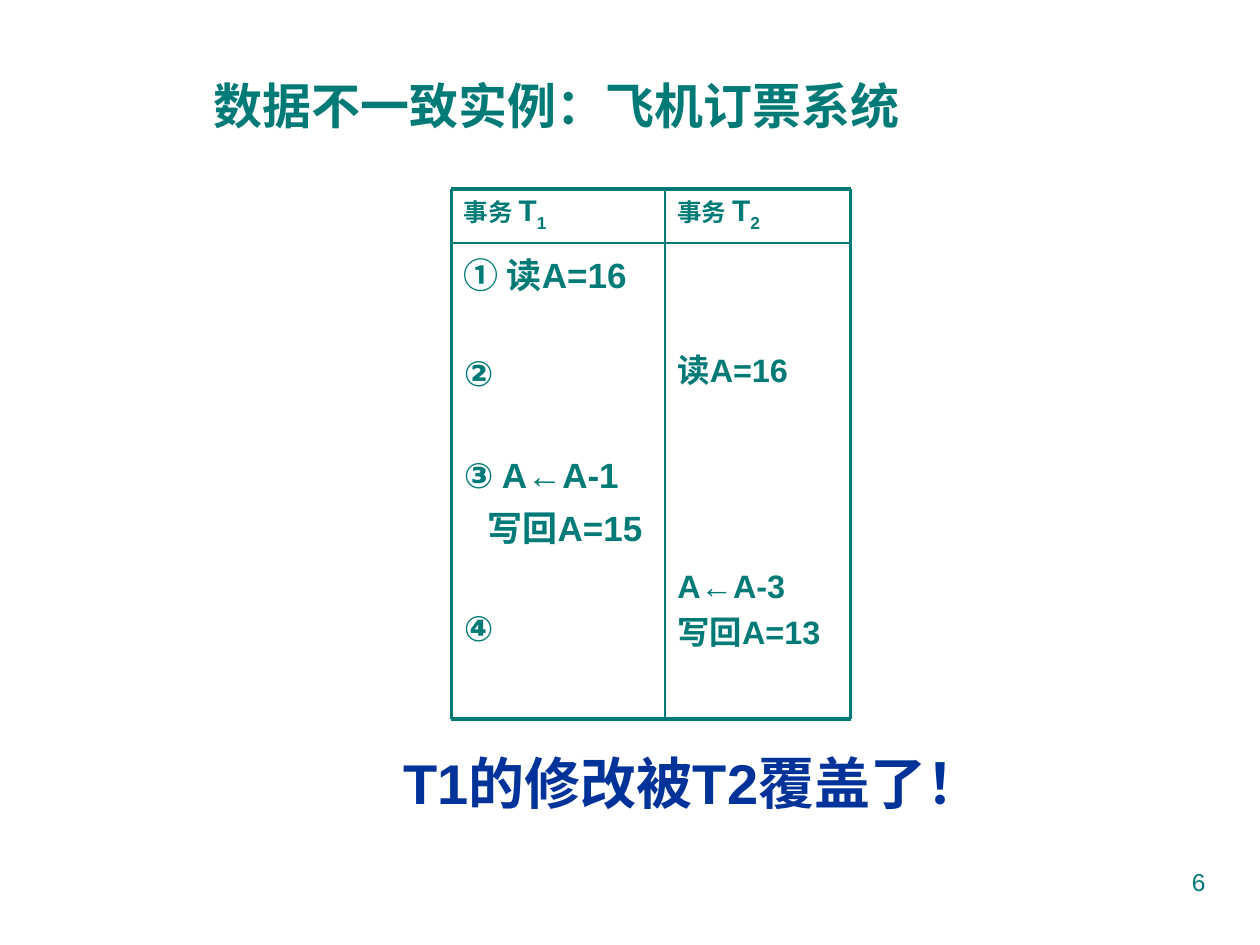
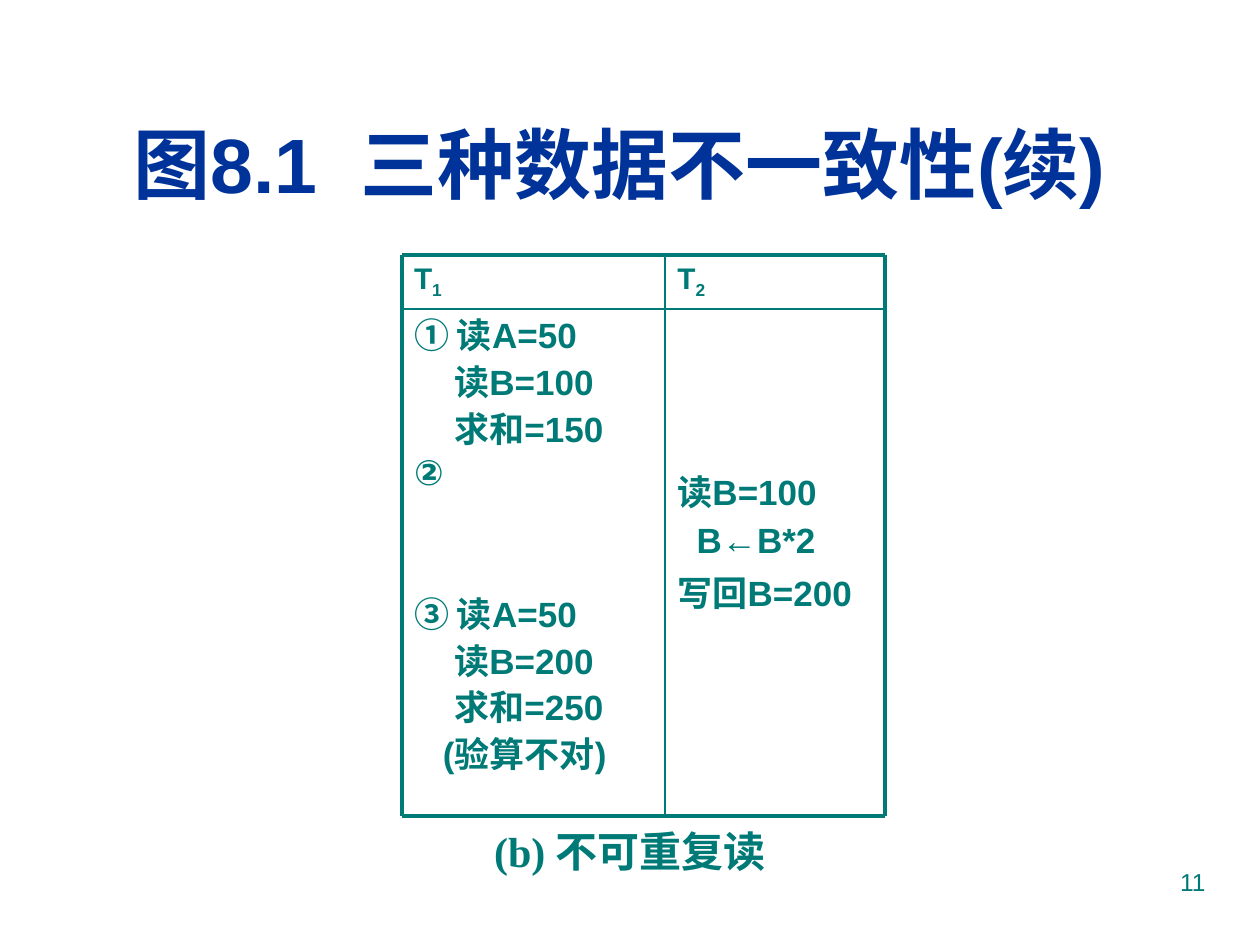
from dataclasses import dataclass

from lxml.etree import SubElement
from pptx import Presentation
from pptx.dml.color import RGBColor as RGB
from pptx.enum.shapes import MSO_CONNECTOR as CONNECTOR
from pptx.enum.text import MSO_ANCHOR as ANCHOR, PP_ALIGN as ALIGN
from pptx.oxml.ns import qn
from pptx.util import Pt


@dataclass(frozen=True)
class Theme:
    teal: RGB = RGB(0x00, 0x7A, 0x77)
    blue: RGB = RGB(0x00, 0x33, 0x99)
    sans: str = "Arial"
    serif: str = "Times New Roman"
    body: float = 20
    small: float = 18.5
    head: float = 17
    label: float = 14
    thick: float = 2.25
    thin: float = 1


T = Theme()


def write(p, text, size=T.body, color=T.teal, font=T.sans, bold=True,
          align=ALIGN.LEFT, line=None, before=0, indent=0, base=0):
    p.alignment = align
    if line:
        p.line_spacing = Pt(line)
    p.space_before = Pt(before)
    if indent:
        p._p.get_or_add_pPr().set("marL", str(Pt(indent)))
    r = p.add_run()
    r.text = text
    r.font.size, r.font.name, r.font.bold = Pt(size), font, bold
    r.font.color.rgb = color
    if base:
        r.font._element.set("baseline", str(base))


def add_box(s, box, anchor=ANCHOR.TOP):
    tf = s.shapes.add_textbox(*map(Pt, box)).text_frame
    tf.word_wrap = True
    tf.vertical_anchor = anchor
    return tf


# each body line: text, space before, indent
slides = [
    dict(
        page="6", xs=(258, 380, 486), ys=(108, 139, 411),
        prefix="事务 ", head_top=7.9,
        columns=[
            dict(size=T.body, line=24, top=6.1, lines=[
                ("① 读A=16", 0, 0), ("②", 31.7, 0), ("③ A←A-1", 34.6, 0),
                ("写回A=15", 6.1, 13.5), ("④", 32.9, 0)]),
            dict(size=T.small, line=20, top=63.1, lines=[
                ("读A=16", 0, 0), ("A←A-3", 103.9, 0), ("写回A=13", 6.1, 0)]),
        ],
        texts=[
            ("T1的修改被T2覆盖了！", (90, 402, 612, 90),
             dict(size=32, color=T.blue, align=ALIGN.CENTER)),
            ("数据不一致实例：飞机订票系统", (102, 39.5, 432, 41),
             dict(size=28, font=T.serif, align=ALIGN.CENTER)),
        ],
    ),
    dict(
        page="11", xs=(229.5, 380, 505.5), ys=(145.5, 176.5, 466.5),
        prefix="", head_top=9,
        columns=[
            dict(size=T.body, line=21.6, top=5.3, lines=[
                ("① 读A=50", 0, 0), ("读B=100", 5, 23), ("求和=150", 5, 23),
                ("②", 3.3, 0), ("③ 读A=50", 59.5, 0), ("读B=200", 5, 23),
                ("求和=250", 5, 23), ("(验算不对)", 5, 16.5)]),
            dict(size=T.body, line=24, top=102.1, lines=[
                ("读B=100", 0, 0), ("B←B*2", 3.9, 11), ("写回B=200", 6.1, 0)]),
        ],
        texts=[
            ("图8.1  三种数据不一致性(续)", (18, 48, 672, 90),
             dict(size=44, color=T.blue, align=ALIGN.CENTER)),
            ("(b) 不可重复读", (258, 462, 204, 48),
             dict(size=24, font=T.serif, align=ALIGN.CENTER)),
        ],
    ),
]

prs = Presentation()
prs.slide_width, prs.slide_height = Pt(720), Pt(540)

for data in slides:
    s = prs.slides.add_slide(prs.slide_layouts[6])
    xs, ys = data["xs"], data["ys"]

    for text, box, style in data["texts"]:
        write(add_box(s, box, ANCHOR.MIDDLE).paragraphs[0], text, **style)

    for c, column in enumerate(data["columns"]):
        left, width = xs[c], xs[c + 1] - xs[c]
        head = add_box(s, (left, ys[0], width, ys[1] - ys[0]))
        body = add_box(s, (left, ys[1], width, ys[2] - ys[1]))
        for tf, top in ((head, data["head_top"]), (body, column["top"])):
            tf.margin_top, tf.margin_right, tf.margin_bottom = Pt(top), 0, 0

        p = head.paragraphs[0]
        if data["prefix"]:
            write(p, data["prefix"], size=T.label, line=T.head)
        write(p, "T", size=T.head, line=T.head)
        write(p, str(c + 1), size=T.head, line=T.head, base=-25000)

        for i, (text, before, indent) in enumerate(column["lines"]):
            p = body.add_paragraph() if i else body.paragraphs[0]
            write(p, text, size=column["size"], line=column["line"],
                  before=before, indent=indent)

    rows = [(xs[0], y, xs[2], y) for y in ys]
    cols = [(x, ys[0], x, ys[2]) for x in xs]
    for ends, width in zip(rows + cols, (T.thick, T.thin, T.thick) * 2):
        rule = s.shapes.add_connector(CONNECTOR.STRAIGHT, *map(Pt, ends))
        rule.line.color.rgb = T.teal
        rule.line.width = Pt(width)
        SubElement(rule._element.spPr, qn("a:effectLst"))

    write(add_box(s, (516, 492, 180, 37)).paragraphs[0], data["page"],
          size=T.label, bold=False, align=ALIGN.RIGHT)

prs.save("out.pptx")
